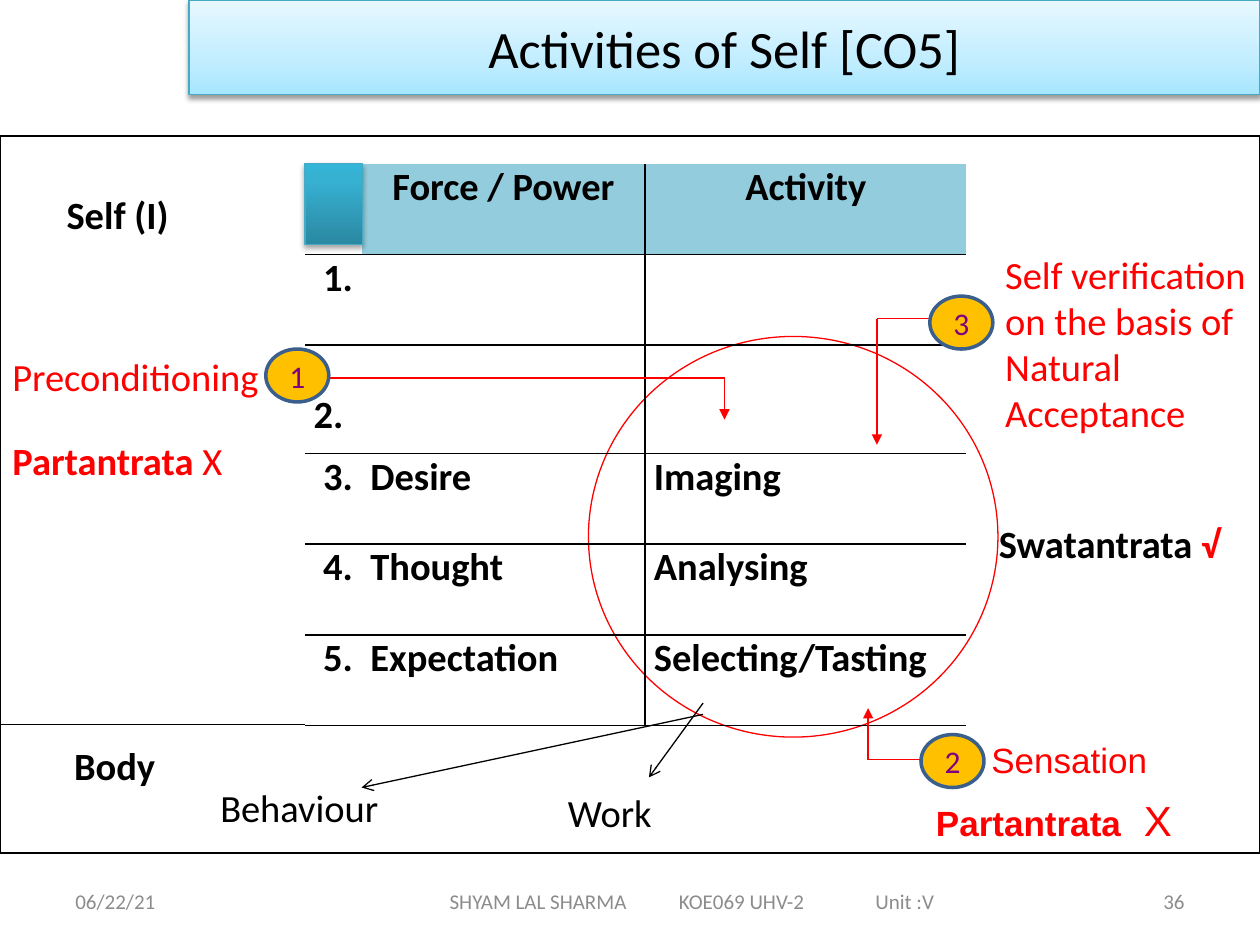
from dataclasses import dataclass

from lxml import etree
from pptx import Presentation
from pptx.dml.color import RGBColor
from pptx.enum import shapes, text
from pptx.oxml import ns
from pptx.util import Inches, Pt


@dataclass(frozen=True)
class Theme:
    font: str = "Calibri"
    alt_font: str = "Arial"
    gap_font: str = "Roboto"
    black: str = "000000"
    red: str = "FF0000"
    grey: str = "8C8C8C"
    teal: str = "46AAC5"
    header: str = "93CDDD"
    badge: str = "FFC000"
    badge_line: str = "3A5F8C"
    badge_text: str = "800080"
    title_size: int = 30
    body_size: int = 22
    alt_size: int = 20
    badge_size: int = 18
    footer_size: int = 12
    thin: float = 0.75


THEME = Theme()
LEFT, CENTER, RIGHT = text.PP_ALIGN.LEFT, text.PP_ALIGN.CENTER, text.PP_ALIGN.RIGHT

# Content: a span is (words, style changes)
TITLE = "Activities of Self [CO5]"
ROWS = [
    ("", "Force / Power", "Activity"),
    ("1.", "", ""),
    ("2.", "", ""),
    ("3.", "Desire", "Imaging"),
    ("4.", "Thought", "Analysing"),
    ("5.", "Expectation", "Selecting/Tasting"),
]
COLUMNS = [0.45, 2.25, 2.55]
HEIGHTS = [0.72, 0.72, 0.86, 0.72, 0.72, 0.72]
BOLD = {"bold": True}
RED = {"color": THEME.red}
RED_ALT = {**RED, "font": THEME.alt_font, "size": THEME.alt_size}
LABELS = [  # left, top, width, height, spans
    (0.43, 1.47, 1.09, 0.47, [("Self (I)", BOLD)]),
    (0.49, 5.84, 0.85, 0.47, [("Body", BOLD)]),
    (1.65, 6.17, 1.54, 0.47, [("Behaviour", {})]),
    (4.41, 6.21, 0.94, 0.47, [("Work", {})]),
    (0, 2.75, 2.17, 0.47, [("Preconditioning", RED)]),
    (0, 3.42, 2.25, 0.47, [("Partantrata ", {**RED, **BOLD}), ("X", RED)]),
    (7.83, 4.08, 2.08, 0.47, [("Swatantrata ", BOLD), ("√", {**RED, **BOLD})]),
    (7.88, 1.94, 2.16, 1.92,
     [("Self verification on the basis of Natural Acceptance", RED)]),
    (7.77, 5.81, 2.04, 0.47, [("Sensation", RED_ALT)]),
]
VERDICT = [("Partantrata", {**RED_ALT, **BOLD}),
           ("\t", {"font": THEME.gap_font, "size": 28}),
           ("X", {**RED_ALT, "size": 24})]
FOOTER = [  # left, width, alignment, tab stops, words
    (0.5, 2.33, LEFT, [], "06/22/21"),
    (3.47, 4.3, LEFT, [1.82, 3.38], "SHYAM LAL SHARMA\tKOE069 UHV-2\tUnit :V"),
    (7.17, 2.33, RIGHT, [], "36"),
]
LINES = [  # start, end, colour, arrowhead
    ((2.42, 5.75), (0, 5.75), THEME.black, None),
    ((5.58, 5.67), (2.87, 6.25), THEME.black, "arrow"),
    ((5.58, 5.58), (5.15, 6.17), THEME.black, "arrow"),
    ((2.25, 3), (5.75, 3), THEME.red, None),
    ((5.75, 3), (5.75, 3.33), THEME.red, "triangle"),
    ((6.89, 6.03), (7.81, 6.03), THEME.red, None),
    ((6.89, 6.03), (6.89, 5.62), THEME.red, "triangle"),
    ((6.96, 2.53), (7.88, 2.53), THEME.red, None),
    ((6.96, 2.53), (6.96, 3.53), THEME.red, "triangle"),
]
BADGES = [("1", 2.11, 2.77), ("2", 7.31, 5.83), ("3", 7.38, 2.35)]


def rgb(color):
    return RGBColor.from_string(color)


def child(parent, tag, **attributes):
    return etree.SubElement(parent, ns.qn(tag), attributes)


def write(frame, spans, align=LEFT, tabs=(), **base):
    para = frame.paragraphs[0]
    para.alignment = align
    if tabs:
        tab_list = child(para._p.get_or_add_pPr(), "a:tabLst")
        for stop in tabs:
            child(tab_list, "a:tab", pos=str(Inches(stop)), algn="l")
    for words, changes in spans:
        style = {**base, **changes}
        span = para.add_run()
        span.text = words
        span.font.name = style.get("font", THEME.font)
        span.font.size = Pt(style.get("size", THEME.body_size))
        span.font.bold = style.get("bold", False)
        span.font.color.rgb = rgb(style.get("color", THEME.black))


def add_label(page, area, spans, anchor=text.MSO_ANCHOR.TOP, wrap=True, **options):
    box = page.shapes.add_textbox(*map(Inches, area))
    box.text_frame.word_wrap = wrap
    box.text_frame.vertical_anchor = anchor
    write(box.text_frame, spans, **options)


def add_outline(page, kind, area, color, width=THEME.thin, fill=None):
    shape = page.shapes.add_shape(kind, *map(Inches, area))
    shape.shadow.inherit = False
    shape.line.color.rgb = rgb(color)
    shape.line.width = Pt(width)
    if fill:
        shape.fill.solid()
        shape.fill.fore_color.rgb = rgb(fill)
    else:
        shape.fill.background()
    return shape


def add_gloss(shape, stops, opacity):
    """Upward gradient, teal outline and a soft shadow below."""
    shape.fill.gradient()
    shape.fill.gradient_angle = 90
    properties = shape._element.spPr
    stop_list = properties.find(".//" + ns.qn("a:gsLst"))
    for old in list(stop_list):
        stop_list.remove(old)
    for percent, color in stops:
        stop = child(stop_list, "a:gs", pos=str(percent * 1000))
        child(stop, "a:srgbClr", val=color)
    shape.line.color.rgb = rgb(THEME.teal)
    shape.line.width = Pt(THEME.thin)
    shape.shadow.inherit = False
    shadow = child(properties.find(ns.qn("a:effectLst")), "a:outerShdw",
                   blurRad=str(Pt(3.1)), dist=str(Pt(1.7)), dir="5400000", rotWithShape="0")
    child(child(shadow, "a:srgbClr", val=THEME.black), "a:alpha", val=str(opacity * 1000))


def add_line(page, start, end, color, head):
    line = page.shapes.add_connector(shapes.MSO_CONNECTOR.STRAIGHT,
                                     *map(Inches, (*start, *end)))
    line.line.color.rgb = rgb(color)
    line.line.width = Pt(THEME.thin)
    if head:
        child(line.line._get_or_add_ln(), "a:tailEnd", type=head)
    child(line._element.spPr, "a:effectLst")


def set_borders(cell, sides):
    properties = cell._tc.get_or_add_tcPr()
    for index, side in enumerate(("lnL", "lnR", "lnT", "lnB")):
        visible = side in sides
        border = etree.Element(ns.qn("a:" + side), w=str(Pt(1)) if visible else "0")
        if visible:
            child(child(border, "a:solidFill"), "a:srgbClr", val=THEME.black)
        else:
            child(border, "a:noFill")
        properties.insert(index, border)


def add_activity_table(page):
    area = (2.42, 1.3, sum(COLUMNS), sum(HEIGHTS))
    table = page.shapes.add_table(len(ROWS), len(COLUMNS), *map(Inches, area)).table
    for column, width in zip(table.columns, COLUMNS):
        column.width = Inches(width)
    for r, (row, height) in enumerate(zip(ROWS, HEIGHTS)):
        table.rows[r].height = Inches(height)
        for c, words in enumerate(row):
            cell = table.cell(r, c)
            cell.margin_left = cell.margin_right = Inches(0.07)
            cell.margin_top = Inches(0.37 if words == "2." else 0)
            cell.margin_bottom = 0
            if r == 0 and c > 0:
                cell.fill.solid()
                cell.fill.fore_color.rgb = rgb(THEME.header)
            else:
                cell.fill.background()
            sides = ["lnB"] + ["lnT"] * (r > 0) + [(), ("lnR"), ("lnL")][c:c + 1]
            set_borders(cell, sides)
            if words:
                align = CENTER if r == 0 else RIGHT if c == 0 and words != "2." else LEFT
                write(cell.text_frame, [(words, BOLD)], align)


def main():
    deck = Presentation()
    deck.slide_width, deck.slide_height = Inches(10), Inches(7.5)
    page = deck.slides.add_slide(deck.slide_layouts[5])
    kinds = shapes.MSO_SHAPE
    middle = text.MSO_ANCHOR.MIDDLE

    # Title banner
    title = page.shapes.title
    title.left, title.top, title.width, title.height = map(Inches, (1.5, 0, 8.5, 0.75))
    title.text_frame.vertical_anchor = middle
    write(title.text_frame, [(TITLE, {})], CENTER, size=THEME.title_size)
    add_gloss(title, [(0, "A7E6FF"), (35, "C1EDFF"), (100, "E7F8FF")], 38)

    # Frame, table and the circle of activities
    add_outline(page, kinds.RECTANGLE, (0, 1.08, 10, 5.69), THEME.black)
    add_outline(page, kinds.OVAL, (4.67, 2.67, 3.25, 3.18), THEME.red)
    add_activity_table(page)
    corner = add_outline(page, kinds.RECTANGLE, (2.42, 1.3, 0.46, 0.64), THEME.teal)
    add_gloss(corner, [(0, "2A88A2"), (80, "37B1D2"), (100, "34B4D6")], 35)

    # Labels
    for *area, spans in LABELS:
        add_label(page, area, spans, wrap=area[2] > 1.6)
    add_label(page, (7.33, 6.2, 2.31, 0.57), VERDICT, tabs=[1.65])

    # Arrows, then the numbered badges over their ends
    for line in LINES:
        add_line(page, *line)
    for number, left, top in BADGES:
        badge = add_outline(page, kinds.OVAL, (left, top, 0.5, 0.42),
                            THEME.badge_line, 2, THEME.badge)
        badge.text_frame.vertical_anchor = middle
        write(badge.text_frame, [(number, {})], CENTER,
              size=THEME.badge_size, color=THEME.badge_text)

    # Footer
    for left, width, align, tabs, words in FOOTER:
        add_label(page, (left, 6.95, width, 0.4), [(words, {})], middle, align=align,
                  tabs=tabs, size=THEME.footer_size, color=THEME.grey)

    deck.save("out.pptx")


if __name__ == "__main__":
    main()
